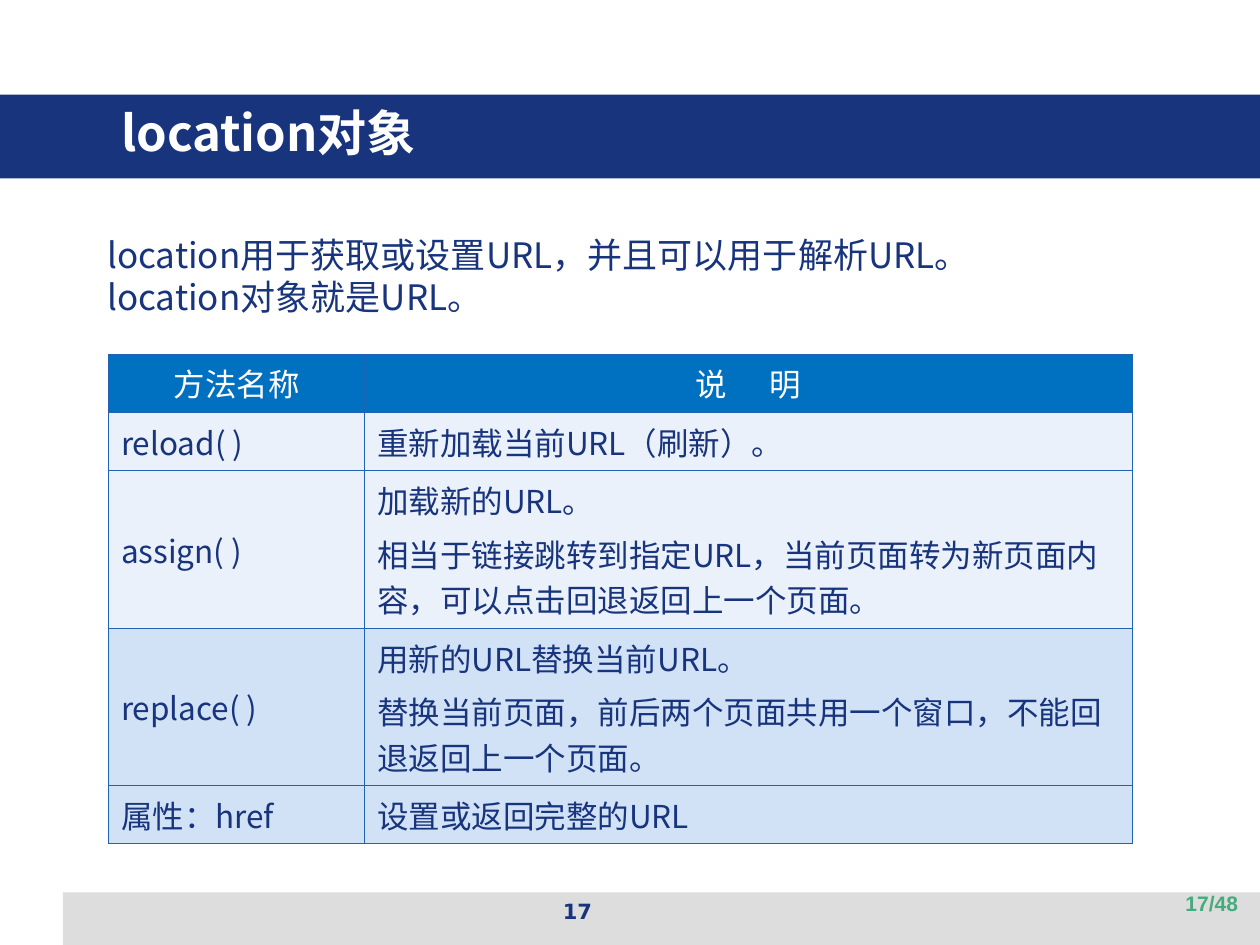
import pptx
import pptx.dml.color
import pptx.enum.shapes
import pptx.enum.text
import pptx.oxml
import pptx.oxml.ns
import pptx.util
from lxml import etree

Pt = pptx.util.Pt
RGB = pptx.dml.color.RGBColor
ALIGN = pptx.enum.text.PP_ALIGN
ANCHOR = pptx.enum.text.MSO_ANCHOR

NAVY = RGB(0x17, 0x34, 0x7D)
WHITE = RGB(0xFF, 0xFF, 0xFF)
GREY = RGB(0xDD, 0xDD, 0xDD)
GREEN = RGB(0x45, 0xAB, 0x7D)
HEAD = RGB(0x00, 0x70, 0xC0)
PALE = RGB(0xEA, 0xF1, 0xFB)
LIGHT = RGB(0xD2, 0xE2, 0xF6)
EDGE = RGB(0x20, 0x62, 0xB4)
SANS = "Noto Sans CJK SC"

TITLE = {"name": SANS, "size": Pt(28), "bold": True}
BODY = {"name": SANS, "size": Pt(20), "bold": False}
CELL = {"name": SANS, "size": Pt(18), "bold": False}
PAGE = {"name": "DejaVu Sans", "size": Pt(12), "bold": True}
COUNT = {"name": "Arial", "size": Pt(12), "bold": True}

WIDE = 10  # extra points after each letter of a widely set run
ROWS = [
    (HEAD, ["方法名称"], ["说 明"]),
    (PALE, ["reload( )"], ["重新加载当前URL（刷新）。"]),
    (PALE, ["assign( )"],
     ["加载新的URL。",
      "相当于链接跳转到指定URL，当前页面转为新页面内容，可以点击回退返回上一个页面。"]),
    (LIGHT, ["replace( )"],
     ["用新的URL替换当前URL。",
      "替换当前页面，前后两个页面共用一个窗口，不能回退返回上一个页面。"]),
    (LIGHT, ["属性：href"], ["设置或返回完整的URL"]),
]


def add_run(para, text, style, color):
    """Add a run whose typeface also holds for Chinese letters."""
    run = para.add_run()
    run.text = text
    for key, value in style.items():
        setattr(run.font, key, value)
    run.font.color.rgb = color
    face = etree.SubElement(run.font._element, pptx.oxml.ns.qn("a:ea"))
    face.set("typeface", style["name"])
    return run


def fill_text(frame, lines, style, color, align=ALIGN.LEFT, gap=0):
    """Write one paragraph per line, gap points apart."""
    frame.word_wrap = True
    for i, line in enumerate(lines):
        para = frame.add_paragraph() if i else frame.paragraphs[0]
        para.alignment = align
        para.space_before = Pt(gap if i else 0)
        if line == "说 明":
            first = add_run(para, line[:2], style, color)
            first.font._element.set("spc", str(WIDE * 100))
            line = line[2:]
        add_run(para, line, style, color)


def place(shape, left, top, width, height):
    shape.left, shape.top = Pt(left), Pt(top)
    shape.width, shape.height = Pt(width), Pt(height)
    shape.text_frame.auto_size = pptx.enum.text.MSO_AUTO_SIZE.NONE
    shape.text_frame.vertical_anchor = ANCHOR.TOP


def add_bar(slide, box, color):
    """Add a plain band behind the placeholders."""
    kind = pptx.enum.shapes.MSO_SHAPE.RECTANGLE
    bar = slide.shapes.add_shape(kind, *map(Pt, box))
    bar.shadow.inherit = False
    bar.fill.solid()
    bar.fill.fore_color.rgb = color
    bar.line.fill.background()
    slide.shapes.element.insert(2, bar._element)


def add_label(slide, box, text, style, color, align):
    label = slide.shapes.add_textbox(*map(Pt, box))
    fill_text(label.text_frame, [text], style, color, align)


def add_title(slide):
    title = slide.shapes.title
    place(title, 62, 54.7, 648, 65)
    fill_text(title.text_frame, ["location对象"], TITLE, WHITE)


def add_body(slide):
    body = slide.placeholders[1]
    place(body, 54, 129.6, 601, 335)
    lines = ["location用于获取或设置URL，并且可以用于解析URL。",
             "location对象就是URL。"]
    fill_text(body.text_frame, lines, BODY, NAVY)
    for para in body.text_frame.paragraphs:
        props = para._p.get_or_add_pPr()
        props.set("marL", str(Pt(27)))
        props.set("indent", str(Pt(-27)))
        etree.SubElement(props, pptx.oxml.ns.qn("a:buNone"))


def set_edges(cell):
    props = cell._tc.get_or_add_tcPr()
    for side in ("lnL", "lnR", "lnT", "lnB"):
        props.append(pptx.oxml.parse_xml(
            f'<a:{side} {pptx.oxml.ns.nsdecls("a")} w="{Pt(0.45)}">'
            f'<a:solidFill><a:srgbClr val="{EDGE}"/></a:solidFill></a:{side}>'))


def add_methods(slide):
    frame = slide.shapes.add_table(
        len(ROWS), 2, Pt(62), Pt(202.3), Pt(585), Pt(280))
    table = frame.table
    for col, width in zip(table.columns, (146.3, 438.7)):
        col.width = Pt(width)
    for r, (shade, *texts) in enumerate(ROWS):
        table.rows[r].height = Pt(90 if len(texts[1]) > 1 else 33.3)
        for c, lines in enumerate(texts):
            cell = table.cell(r, c)
            set_edges(cell)
            cell.fill.solid()
            cell.fill.fore_color.rgb = shade
            cell.vertical_anchor = ANCHOR.MIDDLE if r else ANCHOR.TOP
            fill_text(cell.text_frame, lines, CELL, NAVY if r else WHITE,
                      ALIGN.LEFT if r else ALIGN.CENTER, 4.5)


def main():
    deck = pptx.Presentation()
    deck.slide_width, deck.slide_height = Pt(720), Pt(540)
    slide = deck.slides.add_slide(deck.slide_layouts[1])
    add_bar(slide, (0, 54, 720, 48), NAVY)
    add_bar(slide, (36, 510, 684, 30), GREY)
    add_title(slide)
    add_body(slide)
    add_methods(slide)
    add_label(slide, (246, 510, 168, 25), "17", PAGE, NAVY, ALIGN.CENTER)
    add_label(slide, (546.5, 505.5, 168, 29), "17/48", COUNT, GREEN,
              ALIGN.RIGHT)
    deck.save("out.pptx")


if __name__ == "__main__":
    main()
